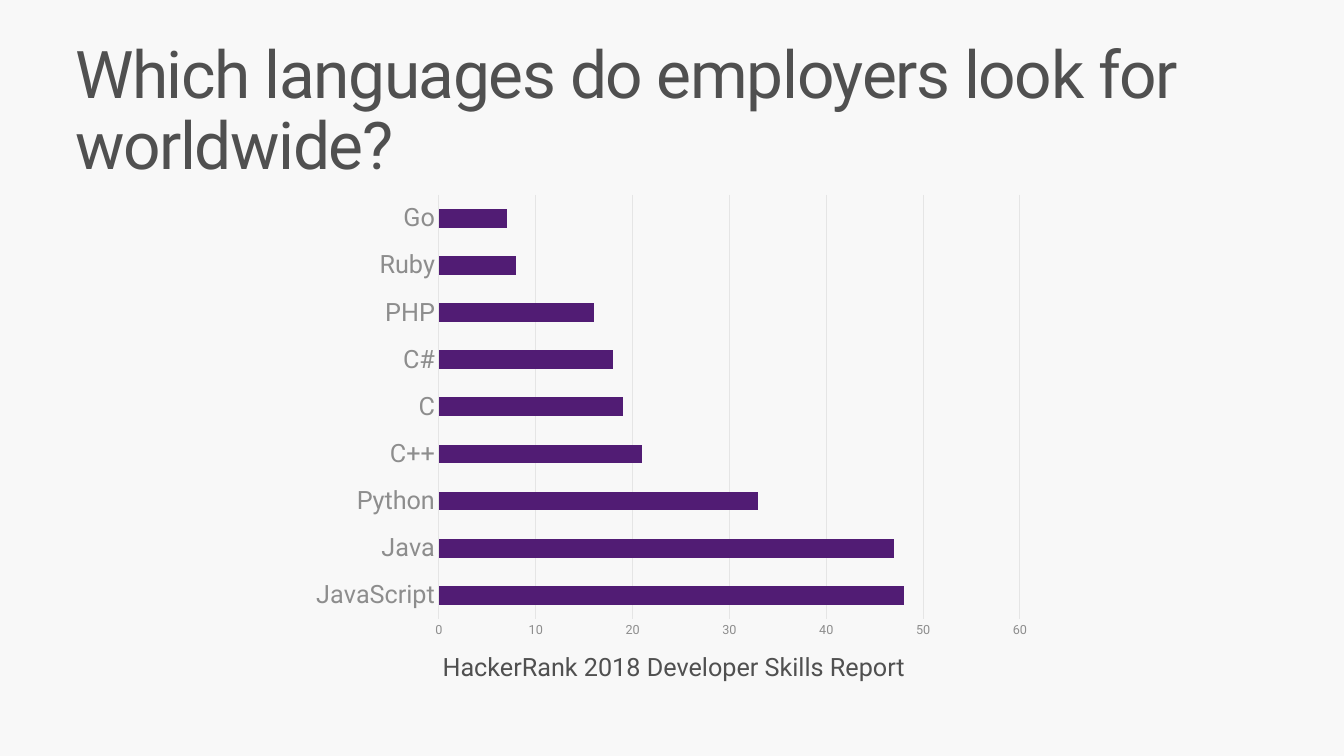
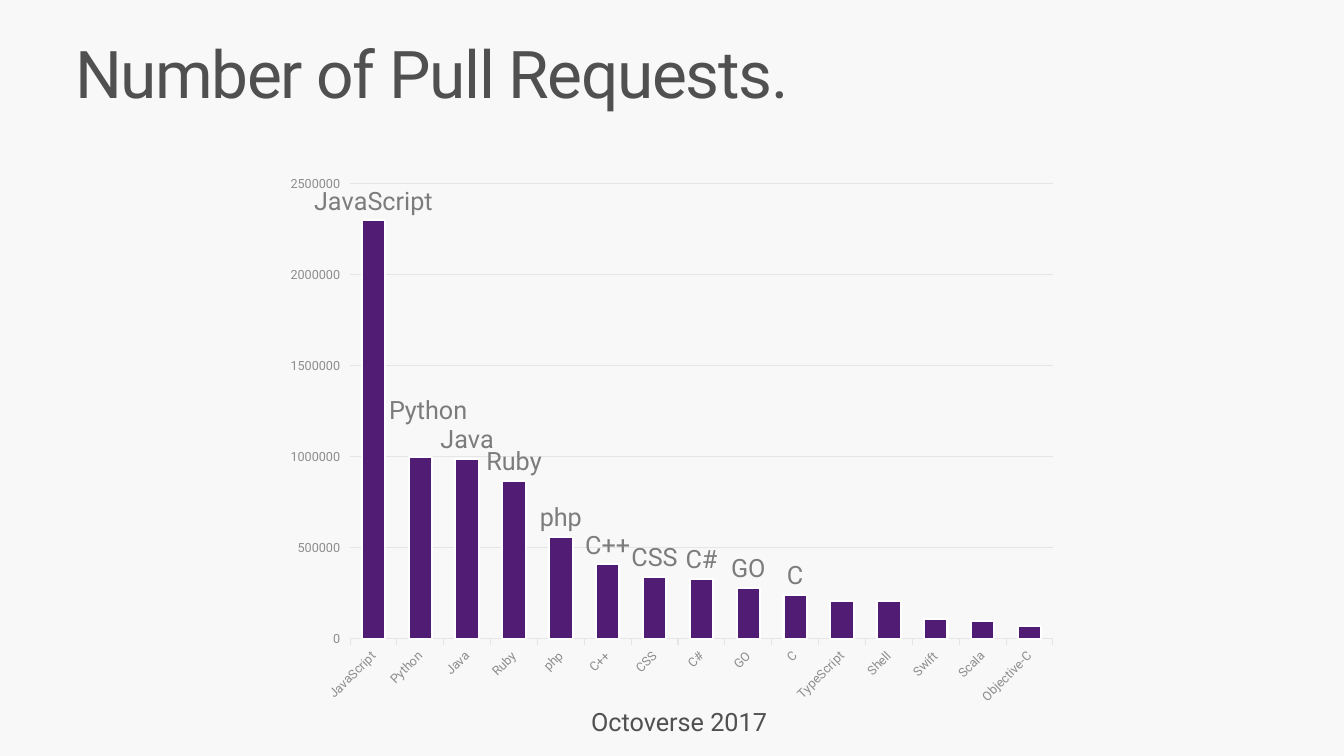
import dataclasses

import lxml.etree
import pptx
import pptx.chart.data
import pptx.dml.color
import pptx.enum.chart
import pptx.enum.text
import pptx.oxml
import pptx.oxml.ns
import pptx.util

SLIDE_W, SLIDE_H = 1344, 756
SCALE = 12192000 / SLIDE_W


def px(n):
    """Turn a length in px into EMU."""
    return pptx.util.Emu(round(n * SCALE))


def rgb(code):
    """Turn a hex code into a colour."""
    return pptx.dml.color.RGBColor.from_string(code)


def sub(parent, tag, **attrs):
    """Append a chart element with the given attributes."""
    return lxml.etree.SubElement(parent, pptx.oxml.ns.qn(tag), attrs)


def manual_layout(**values):
    """Build a c:layout element from fractions of the chart area."""
    layout = pptx.oxml.parse_xml(f"<c:layout {pptx.oxml.ns.nsdecls('c')}/>")
    manual = sub(layout, "c:manualLayout")
    for tag, val in values.items():
        sub(manual, f"c:{tag}", val=str(val))
    return layout


@dataclasses.dataclass(frozen=True)
class Theme:
    """Colours, font and type sizes of the deck."""

    font: str = "Roboto"
    back: str = "F8F8F8"
    text: str = "505050"
    axis: str = "8D8D8D"
    label: str = "7C7C7C"
    grid: str = "E5E5E5"
    bar: str = "511C74"
    edge: str = "FFFFFF"
    title_size: int = 47
    body_size: int = 18
    chart_size: int = 10
    tick_size: int = 9


class Deck:
    """Holds the style and the current slide."""

    def __init__(self, theme):
        """Start a deck on the theme's background."""
        self.theme = theme
        self.prs = pptx.Presentation()
        self.prs.slide_width, self.prs.slide_height = px(SLIDE_W), px(SLIDE_H)
        fill = self.prs.slide_master.background.fill
        fill.solid()
        fill.fore_color.rgb = rgb(theme.back)
        self.s = None

    def style(self, font, size, color):
        """Apply the deck font in one size and colour."""
        font.name, font.size, font.bold = self.theme.font, pptx.util.Pt(size), False
        font.color.rgb = rgb(color)

    def slide(self, title):
        """Add a slide and format its title."""
        self.s = self.prs.slides.add_slide(self.prs.slide_layouts[5])
        sp = self.s.shapes.title
        sp.left, sp.top, sp.width, sp.height = px(59), px(32), px(1285), px(99)
        tf = sp.text_frame
        tf.text = title
        tf.word_wrap = True
        tf.auto_size = pptx.enum.text.MSO_AUTO_SIZE.NONE
        tf.vertical_anchor = pptx.enum.text.MSO_ANCHOR.TOP
        tf.margin_left = tf.margin_right = px(16)
        tf.margin_top = tf.margin_bottom = px(10)
        p = tf.paragraphs[0]
        p.alignment = pptx.enum.text.PP_ALIGN.LEFT
        p.line_spacing = 0.9
        r = p.runs[0]
        self.style(r.font, self.theme.title_size, self.theme.text)
        r._r.get_or_add_rPr().set("spc", "-100")

    def caption(self, text, x, y, w):
        """Add a right-aligned source line."""
        tf = self.s.shapes.add_textbox(px(x), px(y), px(w), px(40)).text_frame
        tf.text = text
        tf.word_wrap = True
        tf.auto_size = pptx.enum.text.MSO_AUTO_SIZE.SHAPE_TO_FIT_TEXT
        p = tf.paragraphs[0]
        p.alignment = pptx.enum.text.PP_ALIGN.RIGHT
        self.style(p.runs[0].font, self.theme.body_size, self.theme.text)

    def axis(self, axis, size, tick):
        """Format what both axes share."""
        axis.major_tick_mark = tick
        axis.minor_tick_mark = pptx.enum.chart.XL_TICK_MARK.NONE
        axis.format.line.fill.background()
        self.style(axis.tick_labels.font, size, self.theme.axis)

    def line(self, line, color, width):
        """Format a line in one colour and width."""
        line.color.rgb = rgb(color)
        line.width = pptx.util.Pt(width)

    def chart(self, kind, data, box, plot_box, top, step, gap, cat_size, tick):
        """Add a one-series bar chart with a fixed plot area."""
        t = self.theme
        cd = pptx.chart.data.CategoryChartData()
        cd.categories = list(data)
        cd.add_series("Series 1", list(data.values()))
        chart = self.s.shapes.add_chart(kind, *map(px, box), cd).chart
        chart.has_title = chart.has_legend = False
        self.style(chart.font, t.chart_size, t.text)

        plot = chart.plots[0]
        plot.gap_width, plot.vary_by_categories = gap, False
        fill = plot.series[0].format.fill
        fill.solid()
        fill.fore_color.rgb = rgb(t.bar)

        self.axis(chart.category_axis, cat_size, tick)
        axis = chart.value_axis
        self.axis(axis, t.tick_size, tick)
        axis.minimum_scale, axis.maximum_scale, axis.major_unit = 0, top, step
        axis.has_major_gridlines = True
        self.line(axis.major_gridlines.format.line, t.grid, 0.75)

        x, y, w, h = box
        left, upper, wide, high = plot_box
        area = chart._chartSpace.chart.plotArea
        for old in area.findall(pptx.oxml.ns.qn("c:layout")):
            area.remove(old)
        area.insert(0, manual_layout(
            layoutTarget="inner", xMode="edge", yMode="edge",
            x=round((left - x) / w, 4), y=round((upper - y) / h, 4),
            w=round(wide / w, 4), h=round(high / h, 4)))
        return chart

    def slant_categories(self, chart):
        """Show the category axis line and turn its labels by 45 degrees."""
        axis = chart.category_axis
        self.line(axis.format.line, self.theme.grid, 0.75)
        body = axis._element.txPr.find(pptx.oxml.ns.qn("a:bodyPr"))
        body.set("rot", "-2700000")
        body.set("vert", "horz")

    def category_labels(self, chart, raised, hidden):
        """Name each column above it, raising one label and hiding some."""
        series = chart.plots[0].series[0]
        self.line(series.format.line, self.theme.edge, 1.5)
        labels = series.data_labels
        labels.show_value, labels.show_category_name = False, True
        labels.position = pptx.enum.chart.XL_LABEL_POSITION.OUTSIDE_END
        self.style(labels.font, self.theme.body_size, self.theme.label)

        label = series.points[raised].data_label
        label.position = pptx.enum.chart.XL_LABEL_POSITION.OUTSIDE_END
        self.style(label.font, self.theme.body_size, self.theme.label)
        root = labels._element
        for leader in root.findall(pptx.oxml.ns.qn("c:showLeaderLines")):
            leader.set("val", "0")
        item = root.find(pptx.oxml.ns.qn("c:dLbl"))
        item.insert(1, manual_layout(x=0.01, y=-0.05))
        for tag, val in (("c:showVal", "0"), ("c:showCatName", "1")):
            item.find(pptx.oxml.ns.qn(tag)).set("val", val)
        for place, idx in enumerate(hidden, 1):
            item = pptx.oxml.parse_xml(f"<c:dLbl {pptx.oxml.ns.nsdecls('c')}/>")
            sub(item, "c:idx", val=str(idx))
            sub(item, "c:delete", val="1")
            root.insert(place, item)


EMPLOYER_DEMAND = {
    "JavaScript": 48, "Java": 47, "Python": 33, "C++": 21, "C": 19,
    "C#": 18, "PHP": 16, "Ruby": 8, "Go": 7,
}
PULL_REQUESTS = {
    "JavaScript": 2300000, "Python": 1000000, "Java": 990000, "Ruby": 870000,
    "php": 560000, "C++": 410000, "CSS": 340000, "C#": 330000, "GO": 280000,
    "C": 240000, "TypeScript": 210000, "Shell": 210000, "Swift": 110000,
    "Scala": 100000, "Objective-C": 70000,
}


def main():
    """Build both slides and save the deck."""
    theme = Theme()
    deck = Deck(theme)
    kinds = pptx.enum.chart.XL_CHART_TYPE
    ticks = pptx.enum.chart.XL_TICK_MARK

    deck.slide("Which languages do employers look for worldwide?")
    deck.chart(kinds.BAR_CLUSTERED, EMPLOYER_DEMAND,
               box=(301, 186, 741, 461), plot_box=(439, 195, 581, 424),
               top=60, step=10, gap=150, cat_size=theme.body_size, tick=ticks.NONE)
    deck.caption("HackerRank 2018 Developer Skills Report", 428, 646, 487)

    deck.slide("Number of Pull Requests.")
    chart = deck.chart(kinds.COLUMN_CLUSTERED, PULL_REQUESTS,
                       box=(275, 166, 793, 549), plot_box=(350, 184, 703, 455),
                       top=2500000, step=500000, gap=100,
                       cat_size=theme.tick_size, tick=ticks.OUTSIDE)
    deck.slant_categories(chart)
    deck.category_labels(chart, raised=1, hidden=range(10, 15))
    deck.caption("Octoverse 2017", 323, 701, 454)

    deck.prs.save("out.pptx")


if __name__ == "__main__":
    main()
